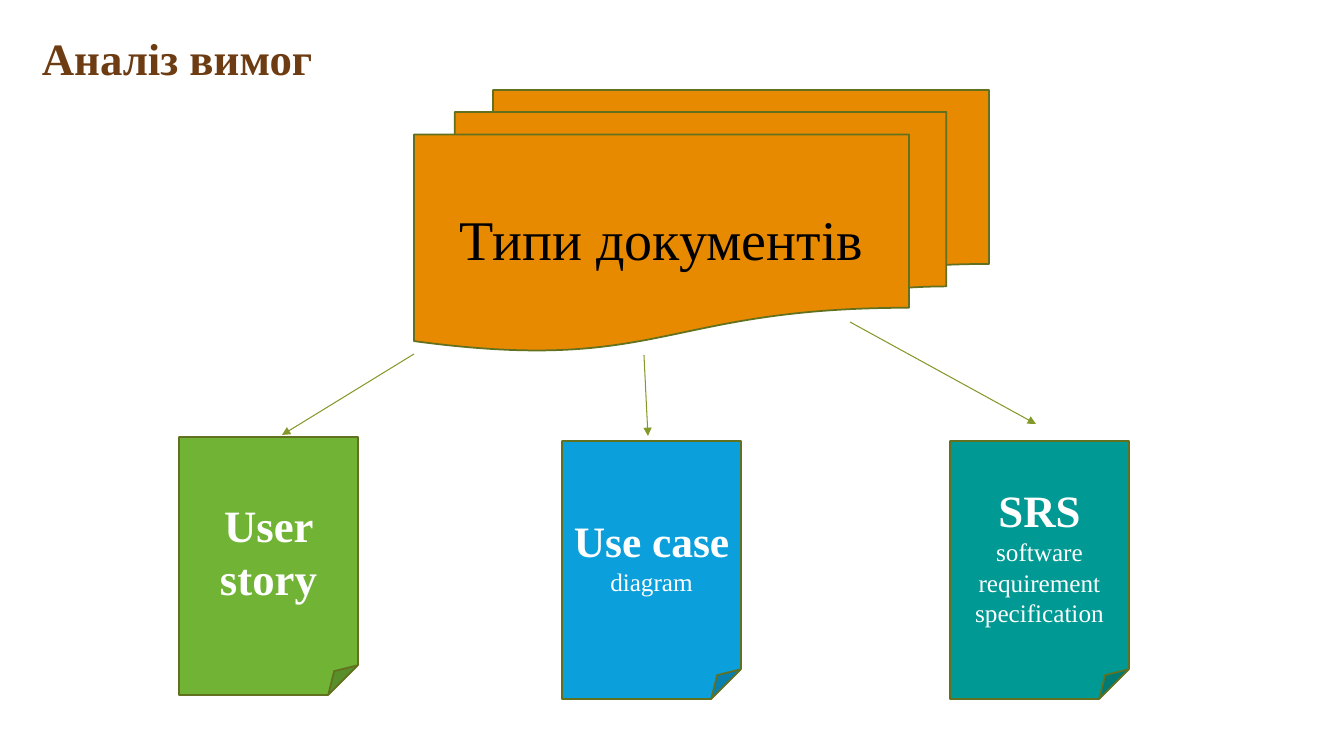
"""Build the slide on requirements analysis and its document types."""
from lxml.etree import SubElement
from pptx import Presentation
from pptx.dml.color import RGBColor
from pptx.enum.shapes import MSO_CONNECTOR, MSO_SHAPE
from pptx.enum.text import MSO_ANCHOR, PP_ALIGN
from pptx.oxml.ns import qn
from pptx.util import Emu, Pt

FONT = "Times New Roman"
BROWN = RGBColor(0x6D, 0x3C, 0x13)
ORANGE = RGBColor(0xE7, 0x8A, 0x00)
OUTLINE = RGBColor(0x61, 0x71, 0x1F)
OLIVE = RGBColor(0x83, 0x99, 0x2A)
GREEN = RGBColor(0x70, 0xB3, 0x35)
BLUE = RGBColor(0x0B, 0x9F, 0xDB)
TEAL = RGBColor(0x01, 0x99, 0x93)
BLACK = RGBColor(0x00, 0x00, 0x00)
WHITE = RGBColor(0xFF, 0xFF, 0xFF)


def px(*lengths):
    return [Emu(round(length * 12192000 / 1344)) for length in lengths]


def add_span(para, text, size, color, bold=False):
    span = para.add_run()
    span.text = text
    span.font.name = FONT
    span.font.size = Pt(size)
    span.font.bold = bold
    span.font.color.rgb = color


deck = Presentation()
deck.slide_width, deck.slide_height = px(1344, 756)
page = deck.slides.add_slide(deck.slide_layouts[6])

title = page.shapes.add_textbox(*px(32, 17, 474, 73))
title.text_frame.word_wrap = True
title.text_frame.vertical_anchor = MSO_ANCHOR.BOTTOM
title_para = title.text_frame.paragraphs[0]
title_para.line_spacing = 0.9
add_span(title_para, "Аналіз вимог", 32, BROWN, True)

arrows = [(414, 354, 282, 435), (644, 355, 648, 436), (850, 322, 1036, 424)]
for ends in arrows:
    arrow = page.shapes.add_connector(MSO_CONNECTOR.STRAIGHT, *px(*ends))
    arrow.line.color.rgb = OLIVE
    arrow.line.width = Pt(0.75)
    SubElement(arrow.line._get_or_add_ln(), qn("a:tailEnd"), type="triangle")
    SubElement(arrow._element.spPr, qn("a:effectLst"))

STACK, SHEET = MSO_SHAPE.FLOWCHART_MULTIDOCUMENT, MSO_SHAPE.FOLDED_CORNER
documents = [
    (STACK, (414, 90, 575, 261), ORANGE, BLACK, [[("Типи документів", 40, False)]]),
    (SHEET, (179, 437, 179, 258), GREEN, WHITE, [[("User story", 32, True)]]),
    (SHEET, (562, 441, 179, 258), BLUE, WHITE,
     [[("Use case ", 31, True), ("diagram", 18, False)]]),
    (SHEET, (950, 441, 179, 258), TEAL, WHITE,
     [[("SRS", 32, True)], [("software requirement specification", 18, False)]]),
]
for kind, place, fill, ink, paragraphs in documents:
    box = page.shapes.add_shape(kind, *px(*place))
    box.shadow.inherit = False
    box.fill.solid()
    box.fill.fore_color.rgb = fill
    box.line.color.rgb = OUTLINE
    box.line.width = Pt(1.25)
    frame = box.text_frame
    frame.word_wrap = True
    frame.vertical_anchor = MSO_ANCHOR.MIDDLE
    for index, spans in enumerate(paragraphs):
        para = frame.add_paragraph() if index else frame.paragraphs[0]
        para.alignment = PP_ALIGN.CENTER
        for text, size, bold in spans:
            add_span(para, text, size, ink, bold)

deck.save("out.pptx")
